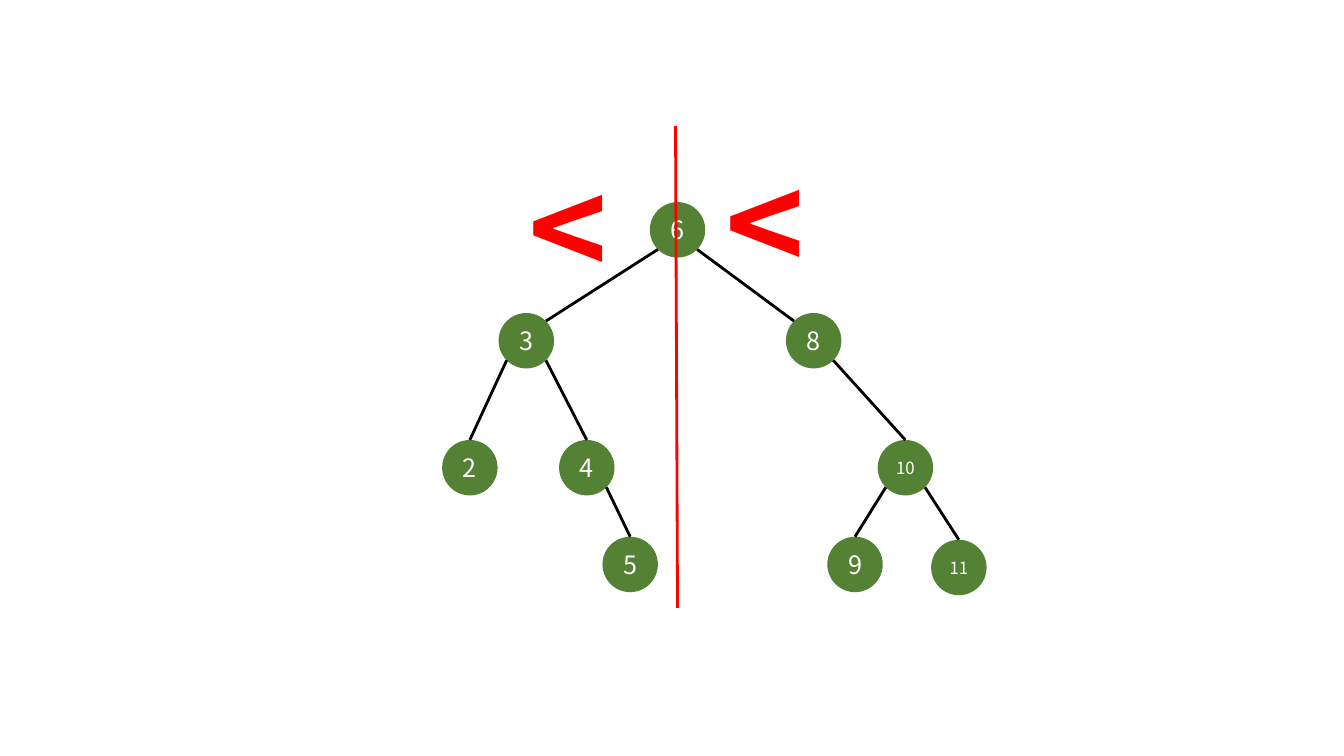
import math
from lxml import etree
from pptx import Presentation
from pptx.dml.color import RGBColor
from pptx.enum.shapes import MSO_CONNECTOR, MSO_SHAPE
from pptx.enum.text import MSO_ANCHOR, MSO_AUTO_SIZE, PP_ALIGN
from pptx.oxml.ns import qn
from pptx.util import Inches, Pt

STRAIGHT = MSO_CONNECTOR.STRAIGHT
OVAL = MSO_SHAPE.OVAL
MIDDLE = MSO_ANCHOR.MIDDLE
CENTER = PP_ALIGN.CENTER
GROW = MSO_AUTO_SIZE.SHAPE_TO_FIT_TEXT

FONT = "Noto Sans CJK KR"
GREEN, WHITE, BLACK, RED = "548235", "FFFFFF", "000000", "FF0000"
DIAMETER = 0.55
RADIUS = DIAMETER / 2
DIAGONAL = RADIUS * math.sqrt(0.5)


def add_line(start, end, color):
    line = page.shapes.add_connector(STRAIGHT, *map(Inches, start + end))
    line.line.color.rgb = RGBColor.from_string(color)
    line.line.width = Pt(2)
    etree.SubElement(line._element.spPr, qn("a:effectLst"))
    return line


def add_text(frame, text, size, color, bold=False):
    para = frame.paragraphs[0]
    span = para.add_run()
    span.text = text
    span.font.name = FONT
    span.font.size = Pt(size)
    span.font.bold = bold
    span.font.color.rgb = RGBColor.from_string(color)
    return para


deck = Presentation()
deck.slide_width = Inches(13.33)
deck.slide_height = Inches(7.5)
page = deck.slides.add_slide(deck.slide_layouts[6])

centers = {
    6: (6.72, 2.28),
    3: (5.22, 3.38), 8: (8.07, 3.38),
    2: (4.66, 4.64), 4: (5.82, 4.64), 10: (8.98, 4.64),
    5: (6.25, 5.6), 9: (8.48, 5.6), 11: (9.51, 5.63),
}
nodes = {}
for value, (x, y) in centers.items():
    node = page.shapes.add_shape(
        OVAL, Inches(x - RADIUS), Inches(y - RADIUS), Inches(DIAMETER), Inches(DIAMETER))
    node.shadow.inherit = False
    node.fill.solid()
    node.fill.fore_color.rgb = RGBColor.from_string(GREEN)
    node.line.fill.background()
    frame = node.text_frame
    frame.margin_left = frame.margin_right = frame.margin_top = frame.margin_bottom = 0
    frame.word_wrap = False
    frame.vertical_anchor = MIDDLE
    add_text(frame, str(value), 18 if value < 10 else 12, WHITE).alignment = CENTER
    nodes[value] = node

for parent, child in [(6, 3), (6, 8), (3, 2), (3, 4), (8, 10), (4, 5), (10, 9), (10, 11)]:
    (px, py), (cx, cy) = centers[parent], centers[child]
    side = math.copysign(DIAGONAL, cx - px)
    start = (px + side, py + DIAGONAL)
    if parent == 6:
        add_line(start, (cx - side, cy - DIAGONAL), BLACK)
    else:
        add_line(start, (cx, cy - RADIUS), BLACK).end_connect(nodes[child], 0)

add_line((6.7, 1.25), (6.72, 6.03), RED)

for left, top in [(5.14, 1.39), (7.1, 1.34)]:
    box = page.shapes.add_textbox(Inches(left), Inches(top), Inches(1.17), Inches(1.72))
    box.text_frame.word_wrap = False
    box.text_frame.auto_size = GROW
    add_text(box.text_frame, "<", 96, RED, bold=True)

deck.save("out.pptx")
